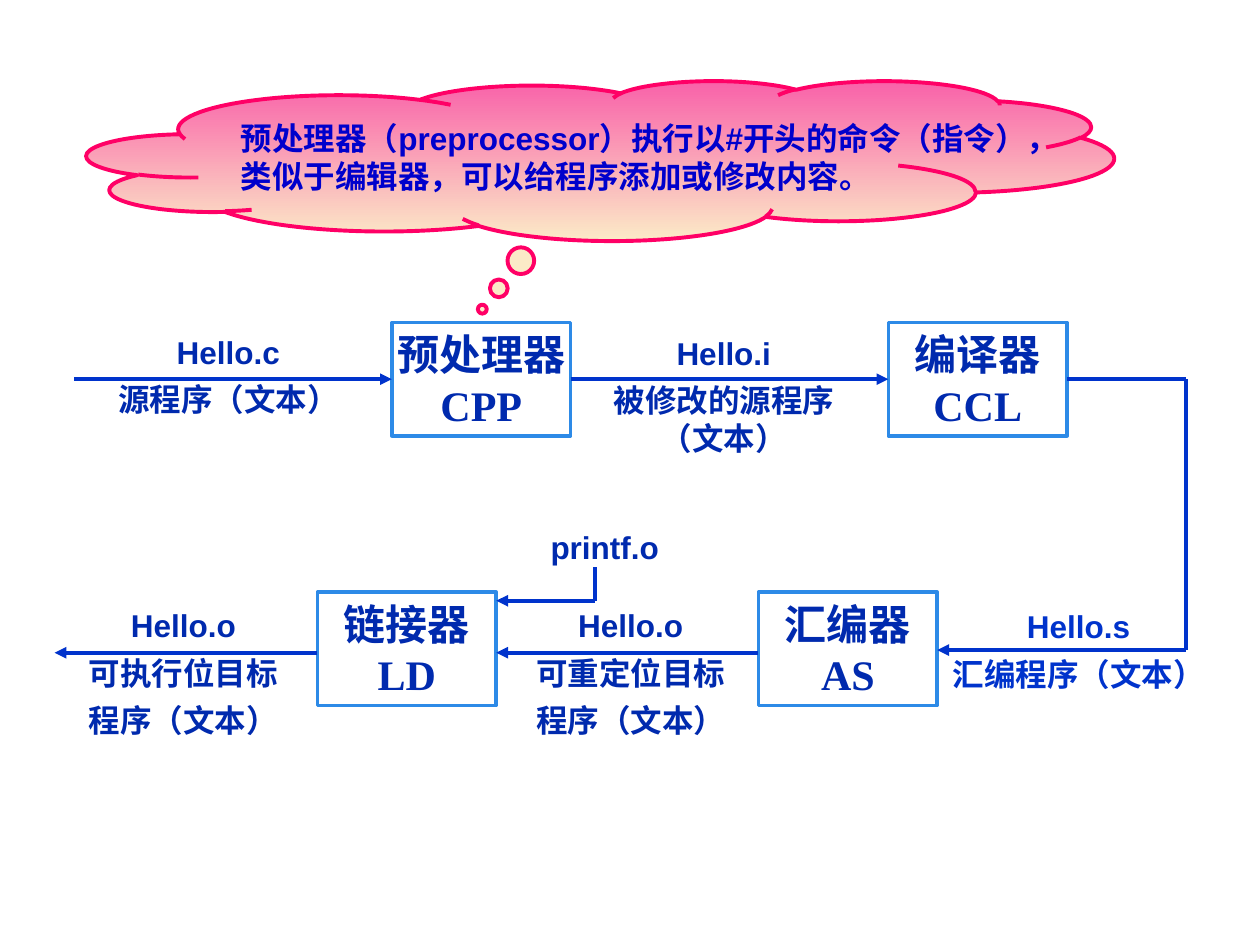
from dataclasses import dataclass

from lxml import etree
from pptx import Presentation
from pptx.dml.color import RGBColor
from pptx.enum import shapes, text
from pptx.oxml.ns import qn
from pptx.util import Pt


@dataclass(frozen=True)
class Theme:
    ink: str = "002AAE"
    arrow: str = "0033CC"
    box_line: str = "2D8AE7"
    box_fill: str = "FFFFFF"
    cloud_top: str = "F961A9"
    cloud_bottom: str = "FBEAC7"
    cloud_line: str = "FF0066"
    cloud_ink: str = "0000CC"
    box_font: str = "Times New Roman"
    label_font: str = "Arial"
    box_size: float = 24
    label_size: float = 18
    line_width: float = 2.25
    box_line_width: float = 2


@dataclass(frozen=True)
class Tool:
    name: str
    command: str
    left: float
    top: float


@dataclass(frozen=True)
class Label:
    lines: tuple
    left: float
    top: float
    width: float
    height: float
    color: str


@dataclass(frozen=True)
class Line:
    start: tuple
    end: tuple
    arrow: bool = True


T = Theme()
BOX_W, BOX_H = 102.2, 64.8
TOP_ROW, BOTTOM_ROW = 184.3, 338.4  # tops of the two rows of boxes
TOP_Y, BOTTOM_Y = 216.7, 373  # heights of the arrows in each row
LABEL_W = 147.6

CPP = Tool("预处理器", "CPP", 223.9, TOP_ROW)
CCL = Tool("编译器", "CCL", 507.6, TOP_ROW)
AS = Tool("汇编器", "AS", 433.4, BOTTOM_ROW)
LD = Tool("链接器", "LD", 181.4, BOTTOM_ROW)
TURN_X, TURN_Y = 677.5, 371.5  # corner where the flow drops to the lower row
LIB_X, LIB_Y = 339.8, 343.3  # corner of the library branch

LINES = [
    Line((42.5, TOP_Y), (CPP.left, TOP_Y)),
    Line((CPP.left + BOX_W, TOP_Y), (CCL.left, TOP_Y)),
    Line((CCL.left + BOX_W, TOP_Y), (TURN_X, TOP_Y), arrow=False),
    Line((TURN_X, TOP_Y), (TURN_X, TURN_Y), arrow=False),
    Line((TURN_X, TURN_Y), (AS.left + BOX_W, TURN_Y)),
    Line((AS.left, BOTTOM_Y), (LD.left + BOX_W, BOTTOM_Y)),
    Line((LD.left, BOTTOM_Y), (31.2, BOTTOM_Y)),
    Line((LIB_X, 324), (LIB_X, LIB_Y), arrow=False),
    Line((LIB_X, LIB_Y), (LD.left + BOX_W, LIB_Y)),
]

LABELS = [
    Label(("Hello.c", "源程序（文本）"), 56.7, 186.5, LABEL_W, 56.2, T.ink),
    Label(("Hello.i", "被修改的源程序（文本）"), 339.8, 187.2, LABEL_W, 77.8, T.ink),
    Label(("Hello.s", "汇编程序（文本）"), 532.8, 343.4, 167, 56.2, T.arrow),
    Label(("Hello.o", "可重定位目标", "程序（文本）"), 286.6, 342.7, LABEL_W, 83.5, T.ink),
    Label(("Hello.o", "可执行位目标", "程序（文本）"), 31, 342.7, LABEL_W, 83.5, T.ink),
    Label(("printf.o",), 294.5, 298.1, BOX_W, 28.8, T.ink),
]


def rgb(value: str) -> RGBColor:
    return RGBColor.from_string(value)


def write(tf, lines, font: str, size: float, color: str, align, gap: float = 0) -> None:
    """Fill a text frame with one bold paragraph per line."""
    for i, line in enumerate(lines):
        p = tf.add_paragraph() if i else tf.paragraphs[0]
        p.text = line
        p.alignment = align
        p.space_before = Pt(gap if i else 0)
        p.font.name, p.font.size, p.font.bold = font, Pt(size), True
        p.font.color.rgb = rgb(color)


def add_outlined(s, kind, left, top, width, height, line_color, line_width):
    sp = s.shapes.add_shape(kind, Pt(left), Pt(top), Pt(width), Pt(height))
    sp.shadow.inherit = False
    sp.line.color.rgb = rgb(line_color)
    sp.line.width = Pt(line_width)
    sp.text_frame.word_wrap = False
    sp.text_frame.vertical_anchor = text.MSO_ANCHOR.MIDDLE
    return sp


def add_tool(s, tool: Tool) -> None:
    sp = add_outlined(s, shapes.MSO_SHAPE.RECTANGLE, tool.left, tool.top,
                      BOX_W, BOX_H, T.box_line, T.box_line_width)
    sp.fill.solid()
    sp.fill.fore_color.rgb = rgb(T.box_fill)
    write(sp.text_frame, (tool.name, tool.command), T.box_font, T.box_size,
          T.ink, text.PP_ALIGN.CENTER)


def add_line(s, line: Line) -> None:
    c = s.shapes.add_connector(shapes.MSO_CONNECTOR.STRAIGHT,
                               *(Pt(v) for v in line.start + line.end))
    c.line.color.rgb = rgb(T.arrow)
    c.line.width = Pt(T.line_width)
    if line.arrow:
        etree.SubElement(c.line._get_or_add_ln(), qn("a:tailEnd"), type="triangle")
    etree.SubElement(c._element.spPr, qn("a:effectLst"))


def add_label(s, label: Label) -> None:
    tb = s.shapes.add_textbox(Pt(label.left), Pt(label.top),
                              Pt(label.width), Pt(label.height))
    tf = tb.text_frame
    tf.word_wrap = True
    tf.auto_size = text.MSO_AUTO_SIZE.SHAPE_TO_FIT_TEXT
    write(tf, label.lines, T.label_font, T.label_size, label.color,
          text.PP_ALIGN.CENTER, gap=5.6)


def add_thought(s, lines: tuple) -> None:
    sp = add_outlined(s, shapes.MSO_SHAPE.CLOUD_CALLOUT, 49.7, 46.1, 586.8, 91.4,
                      T.cloud_line, T.line_width)
    sp.adjustments[0], sp.adjustments[1] = -0.115, 0.929
    sp.fill.gradient()
    sp.fill.gradient_angle = 270
    for stop, color in zip(sp.fill.gradient_stops, (T.cloud_top, T.cloud_bottom)):
        stop.color.rgb = rgb(color)
    write(sp.text_frame, lines, T.label_font, T.label_size, T.cloud_ink,
          text.PP_ALIGN.LEFT)


def main() -> None:
    prs = Presentation()
    prs.slide_width, prs.slide_height = Pt(720), Pt(540)
    s = prs.slides.add_slide(prs.slide_layouts[6])

    # Compilation stages, the flow between them and the files passed on
    for tool in (CPP, CCL, AS, LD):
        add_tool(s, tool)
    for line in LINES:
        add_line(s, line)
    for label in LABELS:
        add_label(s, label)

    # Remark on the preprocessor
    add_thought(s, ("预处理器（preprocessor）执行以#开头的命令（指令），",
                    "类似于编辑器，可以给程序添加或修改内容。"))
    prs.save("out.pptx")


if __name__ == "__main__":
    main()
